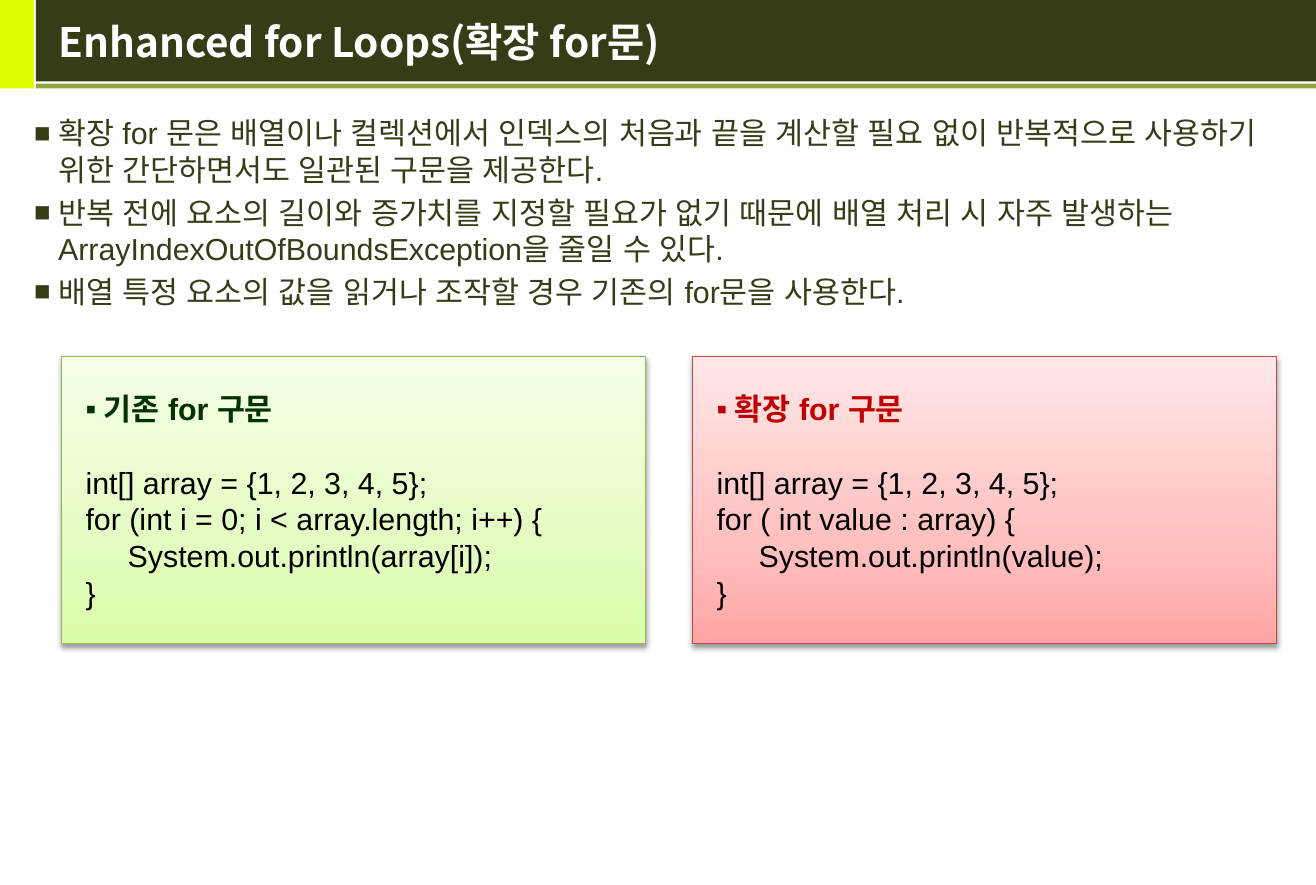
from lxml.etree import SubElement
from pptx import Presentation
from pptx.dml.color import RGBColor
from pptx.enum.shapes import MSO_SHAPE
from pptx.enum.text import MSO_ANCHOR, MSO_AUTO_SIZE, PP_ALIGN
from pptx.oxml.ns import qn
from pptx.util import Cm, Pt

WIDE, HIGH = 27.51, 18.49
DARK = "353D17"
PITCH = 21.7
POINTS = [
    "확장 for 문은 배열이나 컬렉션에서 인덱스의 처음과 끝을 계산할 필요 없이 "
    "반복적으로 사용하기 위한 간단하면서도 일관된 구문을 제공한다.",
    "반복 전에 요소의 길이와 증가치를 지정할 필요가 없기 때문에 배열 처리 시 "
    "자주 발생하는 ArrayIndexOutOfBoundsException을 줄일 수 있다.",
    "배열 특정 요소의 값을 읽거나 조작할 경우 기존의 for문을 사용한다.",
]
ARRAY = "int[] array = {1, 2, 3, 4, 5};"
# heading, heading colour, line colour, gradient from bottom to top, code
PANELS = [
    ("기존 for 구문", "003300", "98B955", ("DAFDA7", "E4FCC2", "F5FFE7"),
     [(ARRAY, 0), ("for (int i = 0; i < array.length; i++) {", 0),
      ("System.out.println(array[i]);", 1), ("}", 0)]),
    ("확장 for 구문", "C00000", "BF4C48", ("FFA6A5", "FFC0BF", "FFE7E7"),
     [(ARRAY, 0), ("for ( int value : array) {", 0),
      ("System.out.println(value);", 1), ("}", 0)]),
]


def paint(target, color):
    """Give a fill a solid colour from a hex string."""
    target.solid()
    target.fore_color.rgb = RGBColor.from_string(color)


def node(parent, tag, **attrs):
    """Append a drawing element and return it."""
    return SubElement(parent, qn("a:" + tag), attrs)


def place(shape, box):
    """Move a shape to a box given in centimetres."""
    shape.left, shape.top, shape.width, shape.height = map(Cm, box)


def write(para, text, color, size=18, bold=False, face="Arial"):
    """Add one formatted run to a paragraph."""
    run = para.add_run()
    run.text = text
    font = run.font
    font.size, font.bold, font.name = Pt(size), bold, face
    paint(font.fill, color)
    node(font._element, "ea", typeface=face)
    para.alignment = PP_ALIGN.LEFT


def indent(para, left, first=0):
    """Set the left margin and first line indent in centimetres."""
    props = para._p.get_or_add_pPr()
    props.set("marL", str(Cm(left)))
    props.set("indent", str(Cm(first)))
    return props


def bullet(para, mark, color, size, gap):
    """Hang a bullet mark in front of a paragraph."""
    props = indent(para, gap, -gap)
    node(node(props, "buClr"), "srgbClr", val=color)
    node(props, "buSzPct", val=str(size * 1000))
    node(props, "buFont", typeface="Arial")
    node(props, "buChar", char=mark)


def lines(frame, count):
    """Yield the wanted number of evenly pitched paragraphs."""
    for i in range(count):
        para = frame.add_paragraph() if i else frame.paragraphs[0]
        para.line_spacing = Pt(PITCH)
        para.space_before = Pt(0)
        yield para


def rect(slide, box):
    """Add a plain rectangle without a shadow."""
    shape = slide.shapes.add_shape(MSO_SHAPE.RECTANGLE, *map(Cm, box))
    shape.shadow.inherit = False
    return shape


def header(slide, box):
    """Draw the title band with its side mark, rule and title."""
    x, y, wide, high = box
    side = x + 0.75
    bands = [
        ((x, y, 0.71, high), "DEFF02"),
        ((side, y, wide - 0.75, high - 0.15), DARK),
        ((side, y + high - 0.1, wide - 0.75, 0.1), "93A73F"),
    ]
    for band, color in bands:
        shape = rect(slide, band)
        paint(shape.fill, color)
        shape.line.fill.background()
    title = slide.shapes.title
    place(title, (x + 0.97, y, wide - 1.3, high - 0.12))
    slide.shapes._spTree.append(title._element)
    frame = title.text_frame
    frame.auto_size = MSO_AUTO_SIZE.NONE
    frame.vertical_anchor = MSO_ANCHOR.MIDDLE
    write(frame.paragraphs[0], "Enhanced for Loops(확장 for문)", "FFFFFF",
          24, True, "Noto Sans CJK KR")


def points(slide, box):
    """Fill the body placeholder with the bulleted points."""
    body = slide.placeholders[1]
    place(body, box)
    frame = body.text_frame
    frame.auto_size = MSO_AUTO_SIZE.NONE
    for para, text in zip(lines(frame, len(POINTS)), POINTS):
        para.space_before = Pt(3.6)
        bullet(para, "■", DARK, 90, 0.5)
        write(para, text, DARK)


def shade(shape, colors):
    """Give a shape a rising gradient and a soft shadow below."""
    shape.fill.gradient()
    props = shape._element.spPr
    grad = props.find(qn("a:gradFill"))
    for child in list(grad):
        grad.remove(child)
    stops = node(grad, "gsLst")
    for pos, color in zip((0, 35, 100), colors):
        stop = node(stops, "gs", pos=str(pos * 1000))
        node(stop, "srgbClr", val=color)
    node(grad, "lin", ang=str(270 * 60000), scaled="0")
    drop = node(props.find(qn("a:effectLst")), "outerShdw",
                blurRad=str(Pt(3.1)), dist=str(Pt(1.6)),
                dir=str(90 * 60000), rotWithShape="0")
    node(node(drop, "srgbClr", val="000000"), "alpha", val="38000")


def panel(slide, box, head, color, edge, colors, code):
    """Draw a code panel with a heading."""
    shape = rect(slide, box)
    paint(shape.line.fill, edge)
    shape.line.width = Pt(0.75)
    shade(shape, colors)
    frame = shape.text_frame
    frame.word_wrap = True
    frame.vertical_anchor = MSO_ANCHOR.MIDDLE
    frame.margin_left = frame.margin_right = Cm(0.5)
    first, *rest = lines(frame, len(code) + 1)
    first.space_after = Pt(PITCH)
    bullet(first, "▪", color, 100, 0.38)
    write(first, head, color, bold=True)
    for para, (text, level) in zip(rest, code):
        indent(para, level * 0.88)
        write(para, text, "000000")


def build():
    """Build and save the slide."""
    deck = Presentation()
    deck.slide_width, deck.slide_height = Cm(WIDE), Cm(HIGH)
    slide = deck.slides.add_slide(deck.slide_layouts[1])
    header(slide, (0, 0, WIDE, 1.85))
    points(slide, (0.46, 2.26, 26.6, 15.8))
    for i, parts in enumerate(PANELS):
        panel(slide, (1.29 + i * 13.19, 7.45, 12.2, 6), *parts)
    deck.save("out.pptx")


build()
